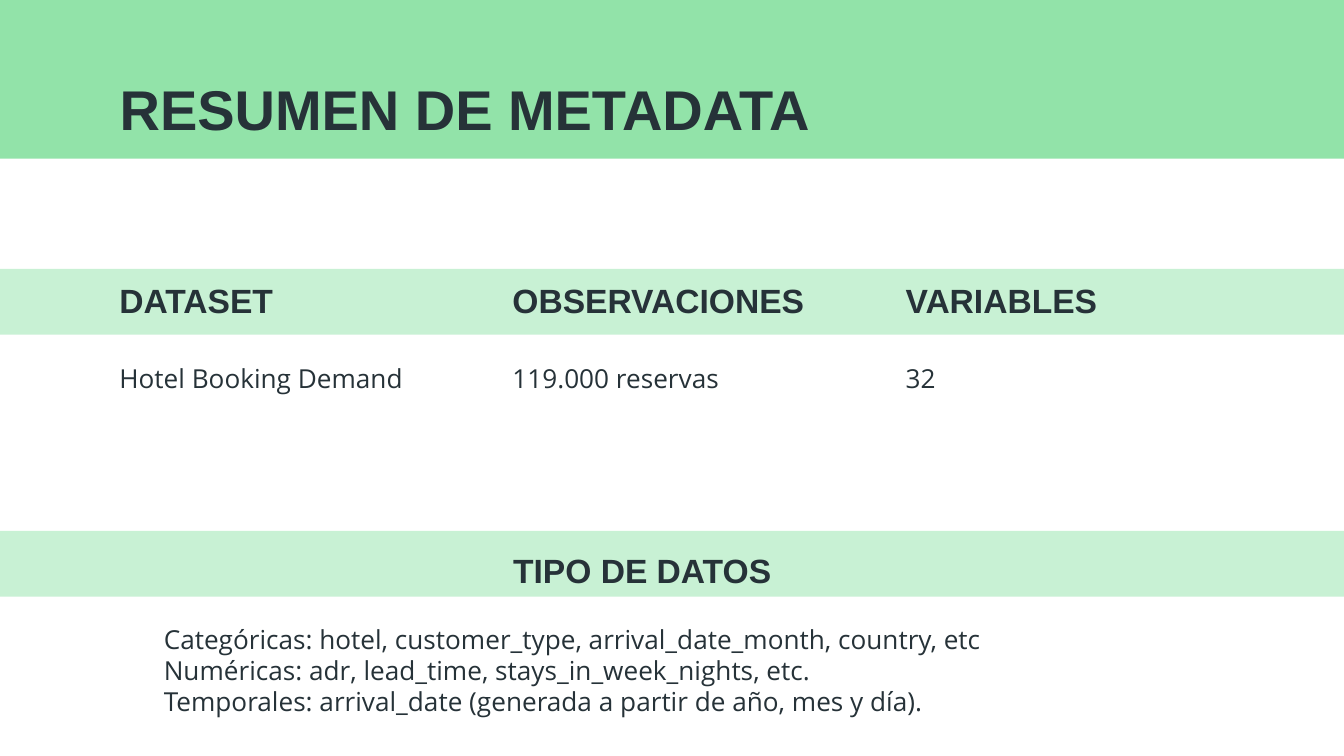
"""Build the metadata summary slide of the hotel bookings data set."""
from pptx import Presentation
from pptx.dml.color import RGBColor
from pptx.enum.shapes import MSO_SHAPE as Shape
from pptx.enum.text import MSO_ANCHOR as Anchor, MSO_AUTO_SIZE as AutoSize, PP_ALIGN as Align
from pptx.util import Inches, Pt

GREEN = RGBColor(0x92, 0xE3, 0xA9)
PALE_GREEN = RGBColor(0xC8, 0xF1, 0xD4)
WHITE = RGBColor(0xFF, 0xFF, 0xFF)
INK = RGBColor(0x26, 0x32, 0x38)

WIDTH = 10
HEIGHT = WIDTH * 9 / 16
MARGIN, LAST_COLUMN, COLUMN_WIDTH = 0.79, 6.64, 2.56
COLUMN_STEP = (LAST_COLUMN - MARGIN) / 2
HEADING_HEIGHT, VALUE_HEIGHT = 0.31, 0.53


def write(box, text, size, font, bold):
    frame = box.text_frame
    frame.text = text
    frame.word_wrap = True
    frame.auto_size = AutoSize.NONE
    frame.vertical_anchor = Anchor.MIDDLE
    frame.margin_left = frame.margin_right = Inches(0.1)
    frame.margin_top = frame.margin_bottom = Inches(0.1)
    for para in frame.paragraphs:
        para.alignment = Align.LEFT
        for span in para.runs:
            span.font.size = Pt(size)
            span.font.name = font
            span.font.bold = bold
            span.font.color.rgb = INK


def add_text(left, top, width, height, text, heading=False):
    box = page.shapes.add_textbox(Inches(left), Inches(top), Inches(width), Inches(height))
    size, font = (18, "Arial") if heading else (14, "Open Sans")
    write(box, text, size, font, heading)


deck = Presentation()
deck.slide_width, deck.slide_height = Inches(WIDTH), Inches(HEIGHT)
page = deck.slides.add_slide(deck.slide_layouts[5])
page.background.fill.solid()
page.background.fill.fore_color.rgb = WHITE

for top, height, color in [(0, 1.18, GREEN), (2, 0.49, PALE_GREEN), (3.95, 0.49, PALE_GREEN)]:
    band = page.shapes.add_shape(Shape.RECTANGLE, 0, Inches(top), Inches(WIDTH), Inches(height))
    band.shadow.inherit = False
    band.fill.solid()
    band.fill.fore_color.rgb = color
    band.line.fill.background()

title = page.shapes.title
title.left, title.top = Inches(MARGIN), Inches(0.49)
title.width, title.height = Inches(8.43), Inches(0.63)
write(title, "RESUMEN DE METADATA", 30, "Arial", True)
page.shapes.element.append(title.element)

facts = [
    ("DATASET", "Hotel Booking Demand"),
    ("OBSERVACIONES", "119.000 reservas"),
    ("VARIABLES", "32"),
]
for column, (heading, value) in enumerate(facts):
    left = MARGIN + column * COLUMN_STEP
    add_text(left, 2.08, COLUMN_WIDTH, HEADING_HEIGHT, heading, heading=True)
    add_text(left, 2.55, COLUMN_WIDTH, VALUE_HEIGHT, value)

data_types = [
    "Categóricas: hotel, customer_type, arrival_date_month, country, etc",
    "Numéricas: adr, lead_time, stays_in_week_nights, etc.",
    "Temporales: arrival_date (generada a partir de año, mes y día).",
]
add_text(3.72, 4.09, COLUMN_WIDTH, HEADING_HEIGHT, "TIPO DE DATOS", heading=True)
add_text(1.12, 4.5, 8.08, 0.97, "\n".join(data_types))

deck.save("out.pptx")
